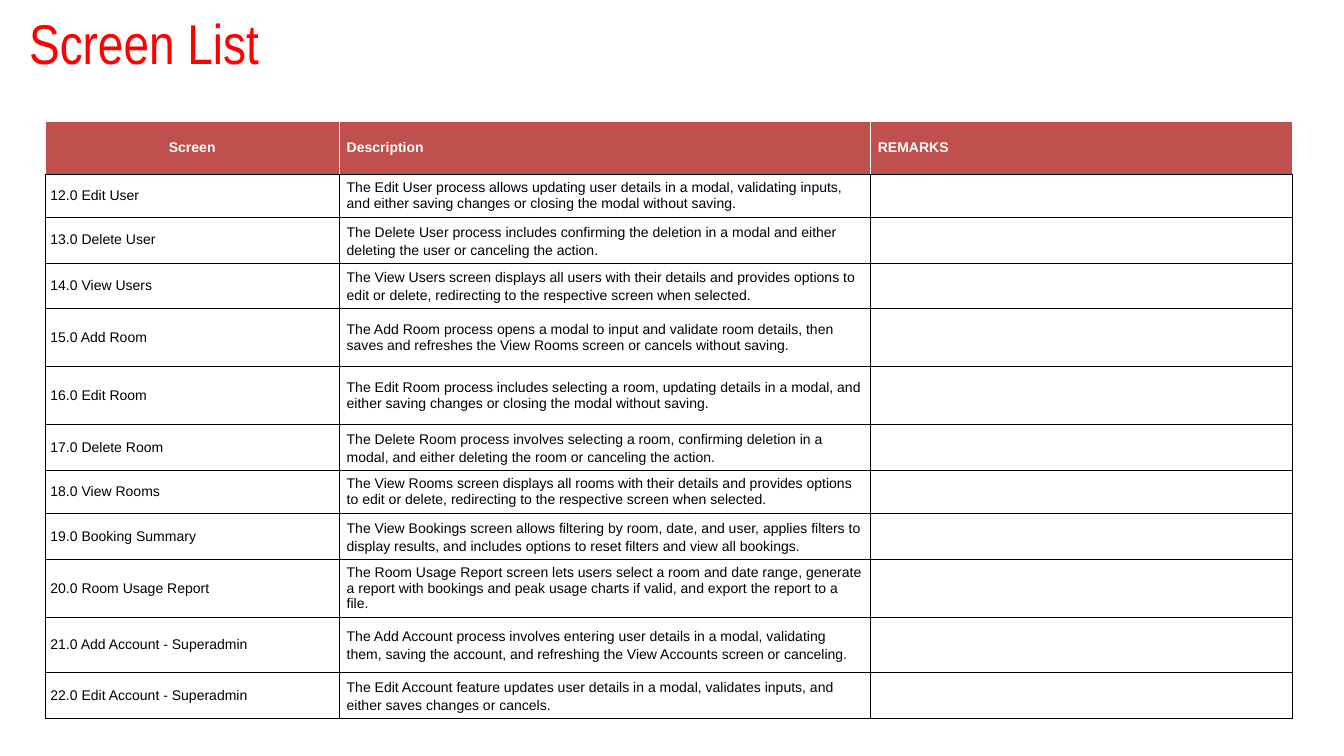
from lxml import etree
from pptx import Presentation
from pptx.dml.color import RGBColor
from pptx.enum.text import MSO_ANCHOR, PP_ALIGN
from pptx.oxml.ns import qn
from pptx.util import Inches, Pt

MIDDLE = MSO_ANCHOR.MIDDLE
LEFT, CENTER = PP_ALIGN.LEFT, PP_ALIGN.CENTER
SLIDE_W, SLIDE_H = 26.67, 15
RED, BRICK, WHITE, BLACK = "FF0000", "C0504D", "FFFFFF", "000000"
WIDE_INSET, NARROW_INSET = (0.15, 0.07), (0.1, 0.05)
LOOSE = 1.15

COLUMN_WIDTHS = [5.83, 10.54, 8.38]
HEADINGS = [("Screen", CENTER), ("Description", LEFT), ("REMARKS", LEFT)]
HEADER_HEIGHT = 1.04

# Screen, description, row height, line spacing
SCREENS = [
    ("12.0 Edit User", "The Edit User process allows updating user details in a modal, "
     "validating inputs, and either saving changes or closing the modal without saving.", 0.86, None),
    ("13.0 Delete User", "The Delete User process includes confirming the deletion in a modal "
     "and either deleting the user or canceling the action.", 0.87, LOOSE),
    ("14.0 View Users", "The View Users screen displays all users with their details and provides "
     "options to edit or delete, redirecting to the respective screen when selected.", 0.87, LOOSE),
    ("15.0 Add Room", "The Add Room process opens a modal to input and validate room details, "
     "then saves and refreshes the View Rooms screen or cancels without saving.", 1.15, None),
    ("16.0 Edit Room", "The Edit Room process includes selecting a room, updating details in a "
     "modal, and either saving changes or closing the modal without saving.", 1.15, None),
    ("17.0 Delete Room", "The Delete Room process involves selecting a room, confirming deletion "
     "in a modal, and either deleting the room or canceling the action.", 0.87, LOOSE),
    ("18.0 View Rooms", "The View Rooms screen displays all rooms with their details and provides "
     "options to edit or delete, redirecting to the respective screen when selected.", 0.86, None),
    ("19.0 Booking Summary", "The View Bookings screen allows filtering by room, date, and user, "
     "applies filters to display results, and includes options to reset filters and view all "
     "bookings.", 0.87, LOOSE),
    ("20.0 Room Usage Report", "The Room Usage Report screen lets users select a room and date "
     "range, generate a report with bookings and peak usage charts if valid, and export the "
     "report to a file.", 1.15, None),
    ("21.0 Add Account - Superadmin", "The Add Account process involves entering user details in a "
     "modal, validating them, saving the account, and refreshing the View Accounts screen or "
     "canceling.", 1.1, LOOSE),
    ("22.0 Edit Account - Superadmin", "The Edit Account feature updates user details in a modal, "
     "validates inputs, and either saves changes or cancels.", 0.86, LOOSE),
]


def color(hex_value):
    return RGBColor.from_string(hex_value)


def write(paragraph, text, font, size, hex_value, bold=False, align=LEFT, spacing=None):
    paragraph.alignment = align
    if spacing:
        paragraph.line_spacing = spacing
    run = paragraph.add_run()
    run.text = text
    run.font.name, run.font.size, run.font.bold = font, Pt(size), bold
    run.font.color.rgb = color(hex_value)


def set_borders(cell, sides):
    """Draw borders from (left, right, top, bottom) pairs of colour and points."""
    properties = cell._tc.get_or_add_tcPr()
    for index, (tag, (hex_value, points)) in enumerate(zip(("lnL", "lnR", "lnT", "lnB"), sides)):
        line = etree.Element(qn(f"a:{tag}"), w=str(Pt(points)))
        fill = etree.SubElement(line, qn("a:solidFill"))
        etree.SubElement(fill, qn("a:srgbClr"), val=hex_value)
        properties.insert(index, line)


def style_cell(cell, fill, borders, inset):
    cell.fill.solid()
    cell.fill.fore_color.rgb = color(fill)
    cell.vertical_anchor = MIDDLE
    cell.margin_left = cell.margin_right = Inches(inset[0])
    cell.margin_top = cell.margin_bottom = Inches(inset[1])
    set_borders(cell, borders)


def add_title(slide, left, top, width, height):
    frame = slide.shapes.add_textbox(*map(Inches, (left, top, width, height))).text_frame
    frame.word_wrap = True
    frame.vertical_anchor = MIDDLE
    frame.margin_left = frame.margin_right = frame.margin_top = frame.margin_bottom = 0
    write(frame.paragraphs[0], "Screen List", "Arial Narrow", 80, RED, spacing=0.9)


def add_screen_table(slide, left, top, width, height):
    table = slide.shapes.add_table(len(SCREENS) + 1, len(COLUMN_WIDTHS),
                                   *map(Inches, (left, top, width, height))).table
    table.first_row = table.horz_banding = False
    for column, share in zip(table.columns, COLUMN_WIDTHS):
        column.width = Inches(width * share / sum(COLUMN_WIDTHS))
    row_heights = [HEADER_HEIGHT] + [screen[2] for screen in SCREENS]
    for row, share in zip(table.rows, row_heights):
        row.height = Inches(height * share / sum(row_heights))

    # Header row
    white_line, black_line = (WHITE, 1), (BLACK, 0.75)
    for cell, (heading, align) in zip(table.rows[0].cells, HEADINGS):
        style_cell(cell, BRICK, [white_line] * 3 + [black_line], WIDE_INSET)
        write(cell.text_frame.paragraphs[0], heading, "Arial", 20, WHITE, True, align)

    # One row per screen, with remarks left empty
    for row_number, (screen, description, _, spacing) in enumerate(SCREENS, 1):
        name_cell, description_cell, remarks_cell = table.rows[row_number].cells
        for cell, inset in ((name_cell, NARROW_INSET), (description_cell, WIDE_INSET),
                            (remarks_cell, NARROW_INSET)):
            style_cell(cell, WHITE, [black_line] * 4, inset)
        write(name_cell.text_frame.paragraphs[0], screen, "Arial", 20, BLACK)
        write(description_cell.text_frame.paragraphs[0], description, "Arial", 20, BLACK,
              spacing=spacing)


def main():
    deck = Presentation()
    deck.slide_width, deck.slide_height = Inches(SLIDE_W), Inches(SLIDE_H)
    slide = deck.slides.add_slide(deck.slide_layouts[6])
    add_title(slide, 0.58, 0.22, 24.25, 1.4)
    add_screen_table(slide, 0.9, 2.41, sum(COLUMN_WIDTHS),
                     HEADER_HEIGHT + sum(screen[2] for screen in SCREENS))
    deck.save("out.pptx")


if __name__ == "__main__":
    main()
